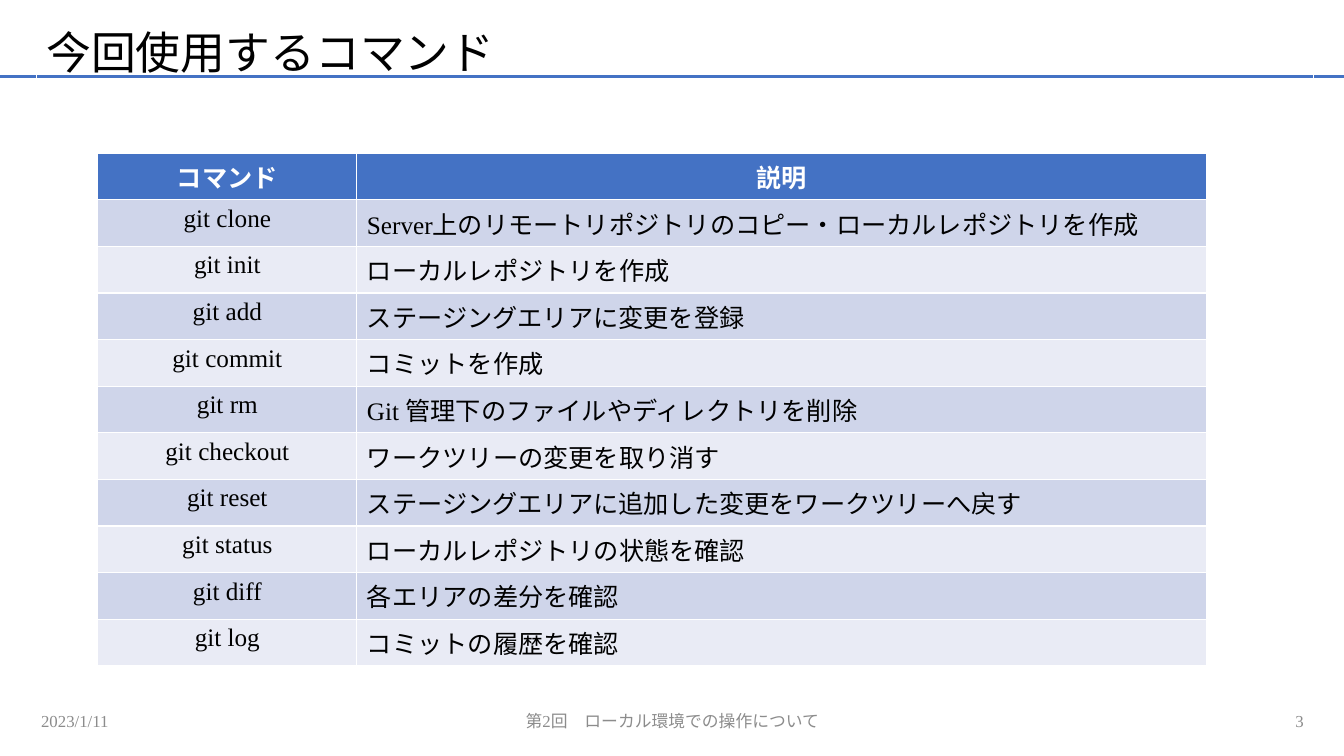
"""Build a slide that lists the git commands used in this lesson."""
import pptx
import pptx.util
import pptx.dml.color
import pptx.enum.shapes
import pptx.enum.text
import pptx.oxml

Inches = pptx.util.Inches
Pt = pptx.util.Pt
RGBColor = pptx.dml.color.RGBColor
ALIGN = pptx.enum.text.PP_ALIGN
MIDDLE = pptx.enum.text.MSO_ANCHOR.MIDDLE

BLUE = RGBColor(0x44, 0x72, 0xC4)
DARK = RGBColor(0xCF, 0xD5, 0xEA)
LIGHT = RGBColor(0xE9, 0xEB, 0xF5)
WHITE = RGBColor(0xFF, 0xFF, 0xFF)
BLACK = RGBColor(0x00, 0x00, 0x00)
GRAY = RGBColor(0x8C, 0x8C, 0x8C)
FONT = "Times New Roman"

ROWS = [
    ("コマンド", "説明"),
    ("git clone", "Server上のリモートリポジトリのコピー・ローカルレポジトリを作成"),
    ("git init", "ローカルレポジトリを作成"),
    ("git add", "ステージングエリアに変更を登録"),
    ("git commit", "コミットを作成"),
    ("git rm", "Git 管理下のファイルやディレクトリを削除"),
    ("git checkout", "ワークツリーの変更を取り消す"),
    ("git reset", "ステージングエリアに追加した変更をワークツリーへ戻す"),
    ("git status", "ローカルレポジトリの状態を確認"),
    ("git diff", "各エリアの差分を確認"),
    ("git log", "コミットの履歴を確認"),
]

FOOT = [
    (0.31, 3, "2023/1/11", ALIGN.LEFT),
    (4.42, 4.5, "第2回　ローカル環境での操作について", ALIGN.CENTER),
    (10.03, 3, "3", ALIGN.RIGHT),
]


def write(frame, text, size, color, align=ALIGN.LEFT, bold=False):
    frame.text = text
    para = frame.paragraphs[0]
    para.alignment = align
    font = para.font
    font.name, font.size, font.bold = FONT, Pt(size), bold
    font.color.rgb = color
    return para


def add_title(slide, text):
    title = slide.shapes.title
    title.left, title.top = Inches(0.36), Inches(0.24)
    title.width, title.height = Inches(12.67), Inches(0.61)
    title.line.color.rgb = WHITE
    title.line.width = Pt(0.75)
    frame = title.text_frame
    frame.vertical_anchor = MIDDLE
    frame.auto_size = pptx.enum.text.MSO_AUTO_SIZE.NONE
    write(frame, text, 32, BLACK).line_spacing = 0.9


def add_rule(slide, width):
    rule = slide.shapes.add_connector(
        pptx.enum.shapes.MSO_CONNECTOR.STRAIGHT,
        width, Inches(0.76), 0, Inches(0.76))
    rule.line.color.rgb = BLUE
    rule.line.width = Pt(2.25)
    props = rule.element.spPr
    props.append(pptx.oxml.parse_xml(
        '<a:effectLst xmlns:a="http://schemas.openxmlformats.org/drawingml/2006/main"/>'))
    slide.shapes.title.element.addprevious(rule.element)


def add_grid(slide, rows):
    high = Inches(0.41)
    table = slide.shapes.add_table(
        len(rows), 2, Inches(0.97), Inches(1.52), Inches(11), high * len(rows)).table
    table.columns[0].width = Inches(2.57)
    table.columns[1].width = Inches(8.43)
    for r, row in enumerate(rows):
        table.rows[r].height = high
        head = r == 0
        fill = BLUE if head else (DARK if r % 2 else LIGHT)
        for c, text in enumerate(row):
            cell = table.cell(r, c)
            cell.fill.solid()
            cell.fill.fore_color.rgb = fill
            align = ALIGN.CENTER if head or c == 0 else ALIGN.LEFT
            write(cell.text_frame, text, 18, WHITE if head else BLACK, align, head)


def add_foot(slide, left, width, text, align):
    box = slide.shapes.add_textbox(Inches(left), Inches(6.95), Inches(width), Inches(0.4))
    frame = box.text_frame
    frame.word_wrap = True
    frame.vertical_anchor = MIDDLE
    write(frame, text, 12, GRAY, align)


def main():
    deck = pptx.Presentation()
    deck.slide_width, deck.slide_height = Inches(13.33), Inches(7.5)
    slide = deck.slides.add_slide(deck.slide_layouts[5])
    add_title(slide, "今回使用するコマンド")
    add_rule(slide, deck.slide_width)
    add_grid(slide, ROWS)
    for item in FOOT:
        add_foot(slide, *item)
    deck.save("out.pptx")


if __name__ == "__main__":
    main()
